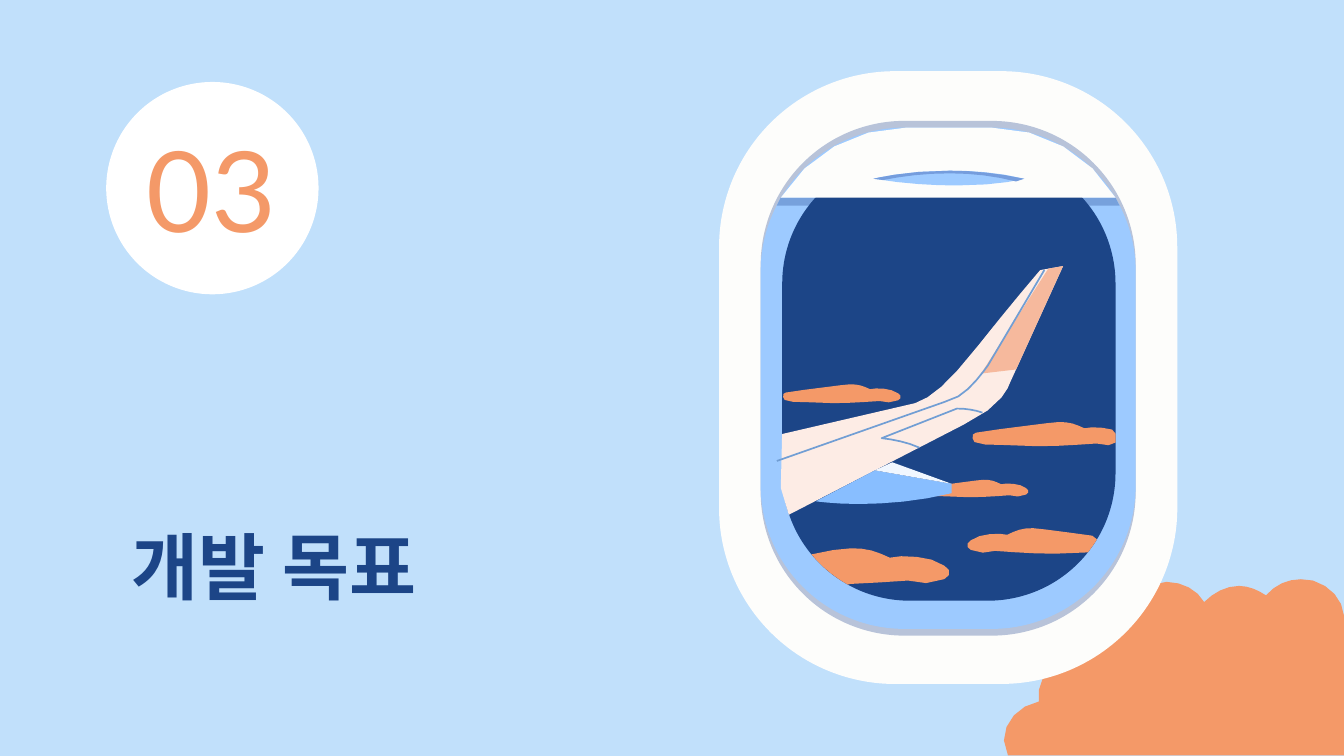
from collections import namedtuple
from math import sqrt

from pptx import Presentation
from pptx.dml.color import RGBColor
from pptx.enum.shapes import MSO_SHAPE
from pptx.enum.text import MSO_ANCHOR, MSO_AUTO_SIZE, PP_ALIGN
from pptx.util import Inches, Pt

SKY = RGBColor(0xC1, 0xE0, 0xFB)
WHITE = RGBColor(0xFF, 0xFF, 0xFF)
ORANGE = RGBColor(0xF4, 0x99, 0x68)
NAVY = RGBColor(0x1C, 0x45, 0x87)
FRAME = RGBColor(0xFD, 0xFD, 0xFB)
RIM = RGBColor(0xB8, 0xC3, 0xD9)
GLASS = RGBColor(0x9D, 0xCA, 0xFF)
SHADE_EDGE = RGBColor(0x77, 0xA1, 0xDC)
HANDLE_EDGE = RGBColor(0x75, 0x9D, 0xDD)
WING = RGBColor(0xFD, 0xEC, 0xE5)
WINGLET = RGBColor(0xF6, 0xB9, 0x9D)
SEAM = RGBColor(0x71, 0x9E, 0xD4)
FAIRING = RGBColor(0x88, 0xBE, 0xFF)
FAIRING_TOP = RGBColor(0xF1, 0xF7, 0xFF)
FONT = "Lato"

Box = namedtuple("Box", "x y w h")

# Outlines: a pair is a straight step, six numbers are a Bezier curve.
# Cloud in percent of its own box.
SMALL_CLOUD = [
    (57, 0), (62, 0, 66, 4, 70, 15), (74, 26), (79, 22),
    (86, 22, 93, 26, 98, 48), (101, 56, 101, 78, 98, 85), (90, 96), (82, 89),
    (70, 94, 57, 100, 43, 100), (20, 95), (8, 93), (1, 83),
    (-1, 72, -1, 44, 2, 44), (18, 28, 34, 17, 49, 5)]
# Bank of cloud on a grid of 253 columns and 131 rows.
CLOUD_BANK = [
    (221, 0), (211, 0, 202, 4, 195, 12), (189, 8, 182, 5, 175, 5),
    (165, 5, 156, 10, 149, 17), (144, 8, 133, 2, 121, 2), (116, 3),
    (102, 5, 92, 15, 90, 27), (84, 22, 76, 20, 69, 20),
    (62, 20, 55, 22, 49, 26), (37, 35, 34, 50, 41, 62),
    (30, 68, 24, 80, 26, 91), (11, 94, 0, 106, 0, 120), (3, 131), (253, 131),
    (253, 27), (252, 15, 243, 5, 230, 1)]

# Window parts on a grid of 341 columns and 456 rows.
WINDOW_GRID = (341, 456)
PANE = Box(47, 63, 248, 331)
PANE_RADIUS = 95
SHADE = [(139, 42), (101, 42, 66, 62, 46, 94), (295, 94),
         (276, 62, 241, 42, 203, 42)]
HANDLE = [(115, 80), (139, 84, 160, 85, 177, 85), (210, 85, 227, 80, 227, 80),
          (207, 75, 187, 74, 171, 74), (138, 74, 115, 80, 115, 80)]
HANDLE_RIDGE = [(115, 80), (115, 80, 138, 74, 172, 74),
                (190, 74, 208, 76, 227, 80), (221, 82),
                (205, 78, 189, 76, 172, 76), (153, 76, 137, 78, 122, 81)]
WING_PARTS = [
    (WING, [(256, 145), (239, 148), (239, 148, 215, 176, 193, 204),
            (170, 233, 158, 243, 146, 247), (47, 270), (46, 310), (52, 330),
            (182, 263), (212, 249, 216, 233, 216, 233)]),
    (WINGLET, [(256, 145), (245, 147), (195, 225), (221, 222)]),
    (FAIRING, [(116, 297), (72, 320), (72, 320, 85, 322, 104, 322),
               (124, 322, 149, 320, 173, 314), (173, 307)]),
    (FAIRING_TOP, [(129, 291), (116, 297), (173, 307)])]
SEAMS = [
    [(242, 148), (200, 219), (197, 223, 188, 236, 178, 242), (168, 246),
     (43, 290)],
    [(196, 254), (190, 252, 184, 251, 177, 251), (121, 273),
     (130, 274, 140, 276, 149, 280)]]
# Box of each small cloud, and whether it is mirrored.
SMALL_CLOUDS = [(Box(48, 233, 87, 14), False), (Box(153, 304, 77, 13), False),
                (Box(189, 261, 112, 18), False), (Box(2, 355, 169, 27), False),
                (Box(185, 340, 113, 19), True)]


def flatten(outline, steps=4):
    """Turn straight steps and Bezier curves into plain points."""
    points = [outline[0]]
    for step in outline[1:]:
        if len(step) == 2:
            points.append(step)
            continue
        curve = (points[-1], step[:2], step[2:4], step[4:])
        for i in range(1, steps + 1):
            t = i / steps
            weights = ((1 - t) ** 3, 3 * t * (1 - t) ** 2, 3 * t * t * (1 - t), t ** 3)
            points.append(tuple(sum(w * p[axis] for w, p in zip(weights, curve))
                                for axis in (0, 1)))
    return points


def paint(sp, color):
    sp.shadow.inherit = False
    sp.fill.solid()
    sp.fill.fore_color.rgb = color
    sp.line.fill.background()


def draw(s, box, grid, points, color, closed=True):
    """Draw grid points inside box, as a filled area or an open line."""
    pts = [(Inches(box.x + x * box.w / grid[0]), Inches(box.y + y * box.h / grid[1]))
           for x, y in points]
    builder = s.build_freeform(*pts[0])
    builder.add_line_segments(pts[1:], close=closed)
    sp = builder.convert_to_shape()
    paint(sp, color)
    if not closed:
        sp.fill.background()
        sp.line.color.rgb = color
        sp.line.width = Pt(0.9)


def clip_to_pane(x, y):
    """Keep a point between the pane's sides and its round lower corners."""
    drop = max(0, y - (PANE.y + PANE.h - PANE_RADIUS))
    inset = PANE_RADIUS - sqrt(PANE_RADIUS ** 2 - drop ** 2)
    return min(max(x, PANE.x + inset), PANE.x + PANE.w - inset), y


def add_window(s, box):
    cols, rows = WINDOW_GRID

    def rounded(part, radius, color):
        sp = s.add_shape(MSO_SHAPE.ROUNDED_RECTANGLE,
                         Inches(box.x + part.x * box.w / cols),
                         Inches(box.y + part.y * box.h / rows),
                         Inches(part.w * box.w / cols), Inches(part.h * box.h / rows))
        sp.adjustments[0] = radius / part.w
        paint(sp, color)

    def area(outline, color, closed=True):
        draw(s, box, WINDOW_GRID, flatten(outline), color, closed)

    rounded(Box(0, 0, cols, rows), 131, FRAME)
    rounded(Box(31, 37, 279, 383), 107, RIM)
    rounded(Box(31, 42, 279, 373), 107, GLASS)
    area([(46, 94), (43, 100), (298, 100), (295, 94)], SHADE_EDGE)
    rounded(PANE, PANE_RADIUS, NAVY)
    area(SHADE, FRAME)
    area(HANDLE, GLASS)
    area(HANDLE_RIDGE, HANDLE_EDGE)
    for cloud, mirrored in SMALL_CLOUDS:
        points = [clip_to_pane(cloud.x + cloud.w * (100 - x if mirrored else x) / 100,
                               cloud.y + cloud.h * y / 100)
                  for x, y in flatten(SMALL_CLOUD, steps=3)]
        draw(s, box, WINDOW_GRID, points, ORANGE)
    for color, outline in WING_PARTS:
        area(outline, color)
    for seam in SEAMS:
        area(seam, SEAM, closed=False)


def set_text(ph, box, text, size, color, bold, align, anchor):
    ph.left, ph.top, ph.width, ph.height = map(Inches, box)
    tf = ph.text_frame
    tf.text = text
    tf.word_wrap = True
    tf.auto_size = MSO_AUTO_SIZE.NONE
    tf.vertical_anchor = anchor
    tf.margin_left = tf.margin_right = tf.margin_top = tf.margin_bottom = Inches(0.1)
    p = tf.paragraphs[0]
    p.alignment = align
    p.space_before = Pt(0)
    p.font.name, p.font.size, p.font.bold = FONT, Pt(size), bold
    p.font.color.rgb = color


def add_number(s, ph, box, text):
    """Place the section number on a white disc that fills box."""
    paint(s.add_shape(MSO_SHAPE.OVAL, *map(Inches, box)), WHITE)
    s.element.append(ph.element)  # bring the number in front of the disc
    inner = Box(box.x + 0.09, box.y, box.w - 0.19, box.h)
    set_text(ph, inner, text, 60, ORANGE, False, PP_ALIGN.CENTER, MSO_ANCHOR.MIDDLE)


def main():
    prs = Presentation()
    prs.slide_width, prs.slide_height = Inches(10), Inches(5.625)
    slide = prs.slides.add_slide(prs.slide_layouts[0])
    slide.background.fill.solid()
    slide.background.fill.fore_color.rgb = SKY
    s = slide.shapes
    title, number = slide.placeholders
    draw(s, Box(7.47, 4.31, 2.53, 1.31), (253, 131), flatten(CLOUD_BANK), ORANGE)
    add_window(s.add_group_shape().shapes, Box(5.35, 0.53, 3.41, 4.56))
    set_text(title, Box(0.88, 3.71, 4.8, 0.92), "개발 목표", 39, NAVY, True,
             PP_ALIGN.LEFT, MSO_ANCHOR.BOTTOM)
    add_number(s, number, Box(0.79, 0.61, 1.58, 1.58), "03")
    prs.save("out.pptx")


if __name__ == "__main__":
    main()
